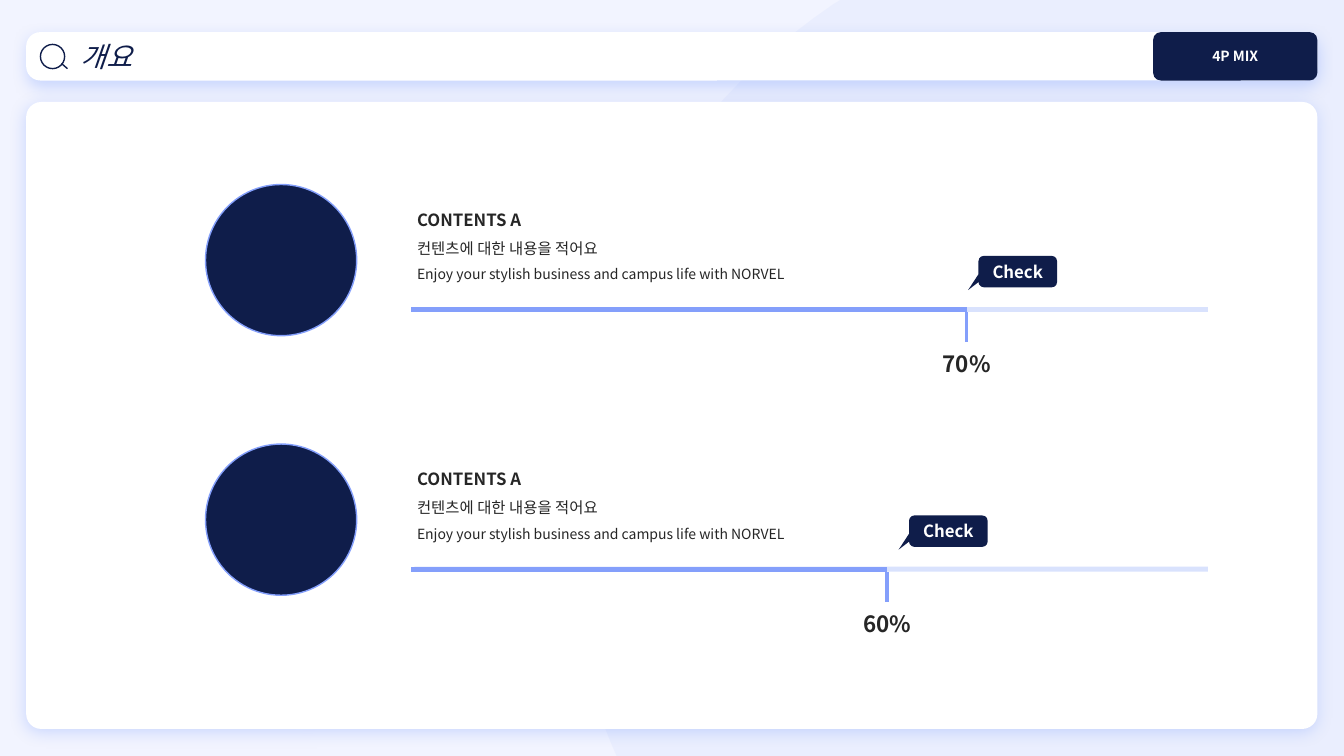
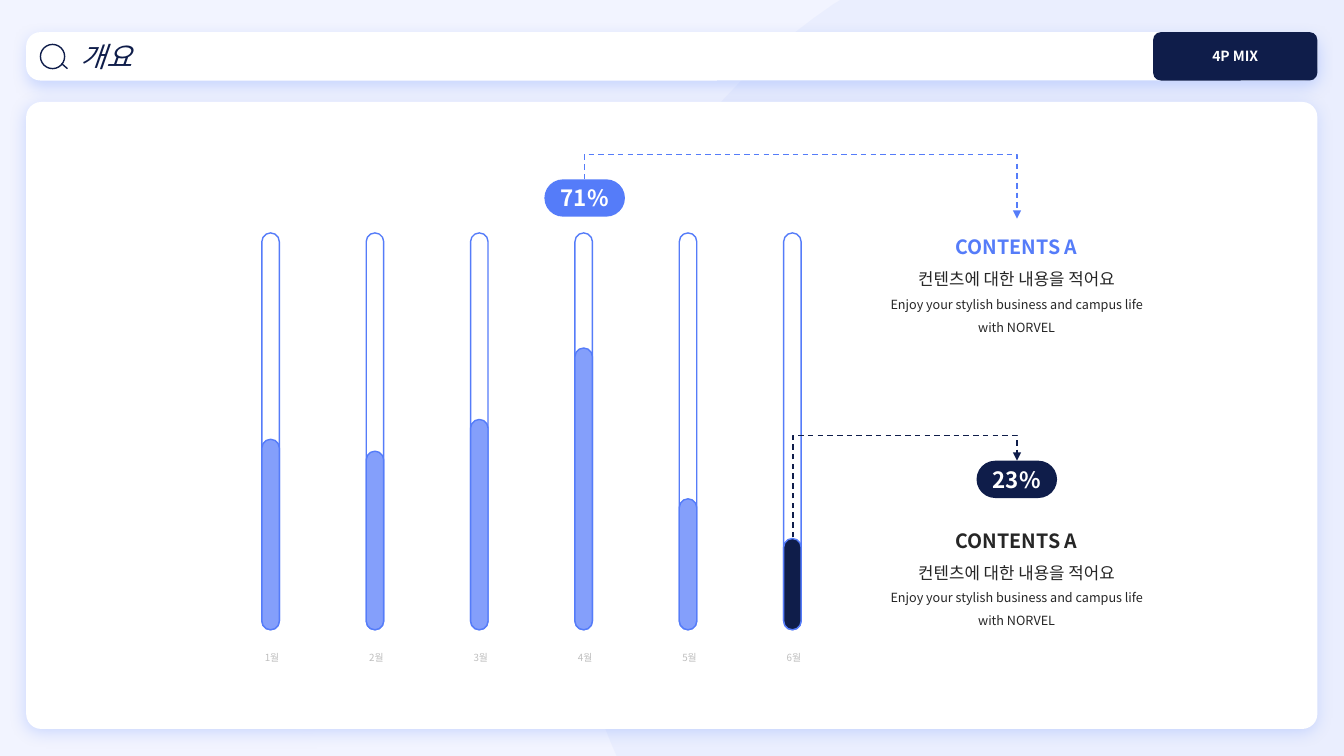
from lxml import etree
from pptx import Presentation, util as u
from pptx.dml.color import RGBColor
from pptx.enum import dml, shapes, text
from pptx.oxml.ns import qn

Cm, Pt = u.Cm, u.Pt
FONT = "Noto Sans CJK KR"
C = dict(back="F2F4FF", soft="8FACFC", navy="0F1D4A", blue="557CF9",
         light="849FFB", ink="262626", gray="BFBFBF", white="FFFFFF")
NO_STYLE = "{2D5ABB26-0587-4C30-8999-92F81FD0307C}"
G, A = shapes.MSO_SHAPE, text.PP_ALIGN
KOREAN = "컨텐츠에 대한 내용을 적어요"
ENGLISH = "Enjoy your stylish business and campus life with NORVEL"


def write(tf, paras, align=A.CENTER, spacing=None):
    """Fill a text frame with (text, colour, font format) paragraphs."""
    for i, (words, color, fmt) in enumerate(paras):
        p = tf.add_paragraph() if i else tf.paragraphs[0]
        p.alignment = align
        if spacing:
            p.line_spacing = spacing
        r = p.add_run()
        r.text = words
        for key, value in dict(fmt, name=FONT, size=Pt(fmt["size"])).items():
            setattr(r.font, key, value)
        r.font.color.rgb = RGBColor.from_string(C[color])
        etree.SubElement(r._r.rPr, qn("a:ea"), typeface=FONT)


def box(s, kind, x, y, w, h, fill=None, line=None, adj=(), shadow=False):
    """Add a preset shape; colours are keys of C."""
    sp = s.shapes.add_shape(kind, Cm(x), Cm(y), Cm(w), Cm(h))
    sp.shadow.inherit = False
    for i, value in enumerate(adj):
        sp.adjustments[i] = value
    if fill:
        sp.fill.solid()
        sp.fill.fore_color.rgb = RGBColor.from_string(C[fill])
    else:
        sp.fill.background()
    if line:
        sp.line.color.rgb = RGBColor.from_string(C[line])
        sp.line.width = Pt(1)
    else:
        sp.line.fill.background()
    if shadow:
        fx = sp._element.spPr.find(qn("a:effectLst"))
        sh = etree.SubElement(fx, qn("a:outerShdw"), blurRad=str(Pt(11)), dist=str(Pt(3)),
                              dir="5400000", algn="t", rotWithShape="0")
        clr = etree.SubElement(sh, qn("a:srgbClr"), val=C["soft"])
        etree.SubElement(clr, qn("a:alpha"), val="40000")
    sp.text_frame.vertical_anchor = text.MSO_ANCHOR.MIDDLE
    return sp


prs = Presentation()
prs.slide_width, prs.slide_height = Cm(33.87), Cm(19.05)
slides = [prs.slides.add_slide(prs.slide_layouts[6]) for _ in range(2)]
progress, monthly = slides
lines = []   # slide, kind, begin, end, colour, weight, extras
blocks = []  # slide, x, y, w, h, align, paragraphs
tables = []  # slide, x, y, column width, row heights, rows of labels, size, colour

# Curved backdrop outline
curves = [((15.44, 18.82), (14.66, 16.99), (14.22, 14.96), (14.22, 12.85)),
          ((14.22, 12.85), (14.22, 7.54), (16.92, 2.87), (21.01, 0.1))]
outline = [(33.87, 0), (33.87, 19.05), (15.54, 19.05), (15.44, 18.82)]
for a, b, c, d in curves:
    for t in (i / 24 for i in range(1, 25)):
        outline.append(tuple((1 - t) ** 3 * a[k] + 3 * t * (1 - t) ** 2 * b[k]
                             + 3 * t * t * (1 - t) * c[k] + t ** 3 * d[k] for k in (0, 1)))

# Shared frame: background, title bar, tag, panel
for s in slides:
    s.background.fill.solid()
    s.background.fill.fore_color.rgb = RGBColor.from_string(C["back"])
    fb = s.shapes.build_freeform(Cm(21.18), 0)
    fb.add_line_segments([(Cm(x), Cm(y)) for x, y in outline])
    sp = fb.convert_to_shape()
    sp.shadow.inherit = False
    sp.line.fill.background()
    sp.fill.solid()
    sp.fill.fore_color.rgb = RGBColor.from_string(C["soft"])
    clr = next(sp._element.spPr.iter(qn("a:srgbClr")))
    etree.SubElement(clr, qn("a:alpha"), val="8000")

    bar = box(s, G.ROUNDED_RECTANGLE, 0.66, 0.81, 32.54, 1.22, "white", adj=[0.292], shadow=True)
    write(bar.text_frame, [("개요", "navy", dict(size=20, italic=True))], A.LEFT)
    bar.text_frame.paragraphs[0]._p.get_or_add_pPr().set("marL", str(Cm(1.02)))
    box(s, G.OVAL, 1.02, 1.12, 0.61, 0.61, line="navy")
    lines.append((s, "STRAIGHT", (1.55, 1.6), (1.7, 1.73), "navy", 1, {}))
    tag = box(s, G.ROUNDED_RECTANGLE, 29.06, 0.81, 4.14, 1.22, "navy", adj=[0.161])
    write(tag.text_frame, [("4P MIX", "white", dict(size=10, bold=True))])
    box(s, G.ROUNDED_RECTANGLE, 0.66, 2.57, 32.54, 15.8, "white", adj=[0.024], shadow=True)

# Slide 1: two progress rows
for row, (percent, check_x) in enumerate([(70, 24.66), (60, 22.91)]):
    dy = row * 6.54
    value_x, track_y = 10.36 + 20 * percent / 100, 7.8 + dy
    box(progress, G.OVAL, 5.18, 4.65 + dy, 3.81, 3.81, "navy", "light")
    blocks.append((progress, 10.26, 4.9 + dy, 10.11, 2.36, A.LEFT, [
        ("CONTENTS A", "ink", dict(size=12, bold=True)),
        (KOREAN, "ink", dict(size=11)), (ENGLISH, "ink", dict(size=10))]))
    check = box(progress, G.ROUNDED_RECTANGULAR_CALLOUT, check_x, 6.45 + dy, 1.98, 0.79,
                "navy", adj=[-0.633, 0.592, 0.167])
    write(check.text_frame, [("Check", "white", dict(size=12, bold=True))])
    lines += [(progress, "STRAIGHT", (10.44, track_y), (30.44, track_y), "light", 3.5,
               dict(alpha=30)),
              (progress, "STRAIGHT", (10.36, track_y), (value_x, track_y), "light", 3.5, {})]
    tables.append((progress, value_x - 0.86, track_y + 0.07, 0.86, [0.76, 1.04],
                   [["", ""], [f"{percent}%", ""]], dict(size=16, bold=True), "ink"))

# Slide 2: monthly bars
pitch, bar_w, bar_h, floor = 2.63, 0.44, 10, 15.87
for i, percent in enumerate([48, 45, 53, 71, 33, 23]):
    x, h = 6.6 + i * pitch, bar_h * percent / 100
    box(monthly, G.ROUNDED_RECTANGLE, x, floor - bar_h, bar_w, bar_h, line="blue", adj=[0.5])
    box(monthly, G.ROUNDED_RECTANGLE, x, floor - h, bar_w, h,
        "navy" if i == 5 else "light", "blue", [0.5])
tables.append((monthly, 5.54, 16.28, pitch, [0.56], [[f"{m}월" for m in range(1, 7)]],
               dict(size=7), "gray"))

# Slide 2: callouts with dashed elbow arrows (pill corner, text top, arrow ends, peak)
for words, color, head, (px, py), top, (x1, y1), (x2, y2), peak, turn in [
        ("71%", "blue", "blue", (13.72, 4.52), 5.51, (14.73, 4.52), (25.63, 5.51), 3.89, 270),
        ("23%", "navy", "ink", (24.61, 11.61), 12.9, (19.99, 13.54), (25.63, 11.61), 10.97, 90)]:
    pill = box(monthly, G.ROUNDED_RECTANGLE, px, py, 2.03, 0.94, color, adj=[0.5])
    write(pill.text_frame, [(words, "white", dict(size=16, bold=True))])
    blocks.append((monthly, 22.1, top, 7.04, 3.07, A.CENTER, [
        ("CONTENTS A", head, dict(size=14, bold=True)),
        (KOREAN, "ink", dict(size=12)), (ENGLISH, "ink", dict(size=9))]))
    # The elbow is laid out lying down and then turned about its centre
    cx, cy, w, h = (x1 + x2) / 2, (y1 + y2) / 2, abs(y2 - y1) / 2, (x2 - x1) / 2
    h = h if y2 < y1 else -h
    lines.append((monthly, "ELBOW", (cx + w, cy + h), (cx - w, cy - h), color, 1,
                  dict(turn=turn, bend=(peak - y1) / (y2 - y1))))

# Text blocks
for s, x, y, w, h, align, paras in blocks:
    tf = s.shapes.add_textbox(Cm(x), Cm(y), Cm(w), Cm(h)).text_frame
    tf.word_wrap = True
    tf.auto_size = text.MSO_AUTO_SIZE.SHAPE_TO_FIT_TEXT
    write(tf, paras, align, 1.5)

# Tables; the two-row ones carry a tick between their upper cells
for s, x, y, col_w, heights, rows, fmt, color in tables:
    n = len(rows[0])
    tb = s.shapes.add_table(len(rows), n, Cm(x), Cm(y), Cm(col_w * n), Cm(sum(heights))).table
    tb.first_row = tb.horz_banding = False
    tb._tbl.tblPr.find(qn("a:tableStyleId")).text = NO_STYLE
    for col in tb.columns:
        col.width = Cm(col_w)
    for r, labels in enumerate(rows):
        tb.rows[r].height = Cm(heights[r])
        for c, label in enumerate(labels):
            cell = tb.cell(r, c)
            for side in ("left", "right", "top", "bottom"):
                setattr(cell, "margin_" + side, 0)
            cell.vertical_anchor = text.MSO_ANCHOR.MIDDLE
            if len(rows) == 2 and r == 0:
                ln = etree.SubElement(cell._tc.get_or_add_tcPr(), qn("a:lnL" if c else "a:lnR"),
                                      w=str(Pt(3)))
                etree.SubElement(etree.SubElement(ln, qn("a:solidFill")), qn("a:srgbClr"),
                                 val=C["light"])
            cell.fill.background()
            if label:
                write(cell.text_frame, [(label, color, fmt)])
            else:
                etree.SubElement(cell.text_frame.paragraphs[0]._p, qn("a:endParaRPr"), sz="700")
    if len(rows) == 2:
        tb.cell(1, 0).merge(tb.cell(1, 1))

# Lines and arrows
for s, kind, begin, end, color, weight, extra in lines:
    sp = s.shapes.add_connector(getattr(shapes.MSO_CONNECTOR, kind),
                                *(Cm(v) for v in begin + end))
    sp.line.color.rgb = RGBColor.from_string(C[color])
    sp.line.width = Pt(weight)
    pr = sp._element.spPr
    if "alpha" in extra:
        clr = next(pr.iter(qn("a:srgbClr")))
        etree.SubElement(clr, qn("a:alpha"), val=str(extra["alpha"] * 1000))
    if "turn" in extra:
        sp.line.dash_style = dml.MSO_LINE.DASH
        etree.SubElement(pr.find(qn("a:ln")), qn("a:tailEnd"), type="triangle")
        pr.find(qn("a:xfrm")).set("rot", str(extra["turn"] * 60000))
        etree.SubElement(next(pr.iter(qn("a:avLst"))), qn("a:gd"), name="adj1",
                         fmla=f"val {round(extra['bend'] * 100000)}")
    etree.SubElement(pr, qn("a:effectLst"))

prs.save("out.pptx")
